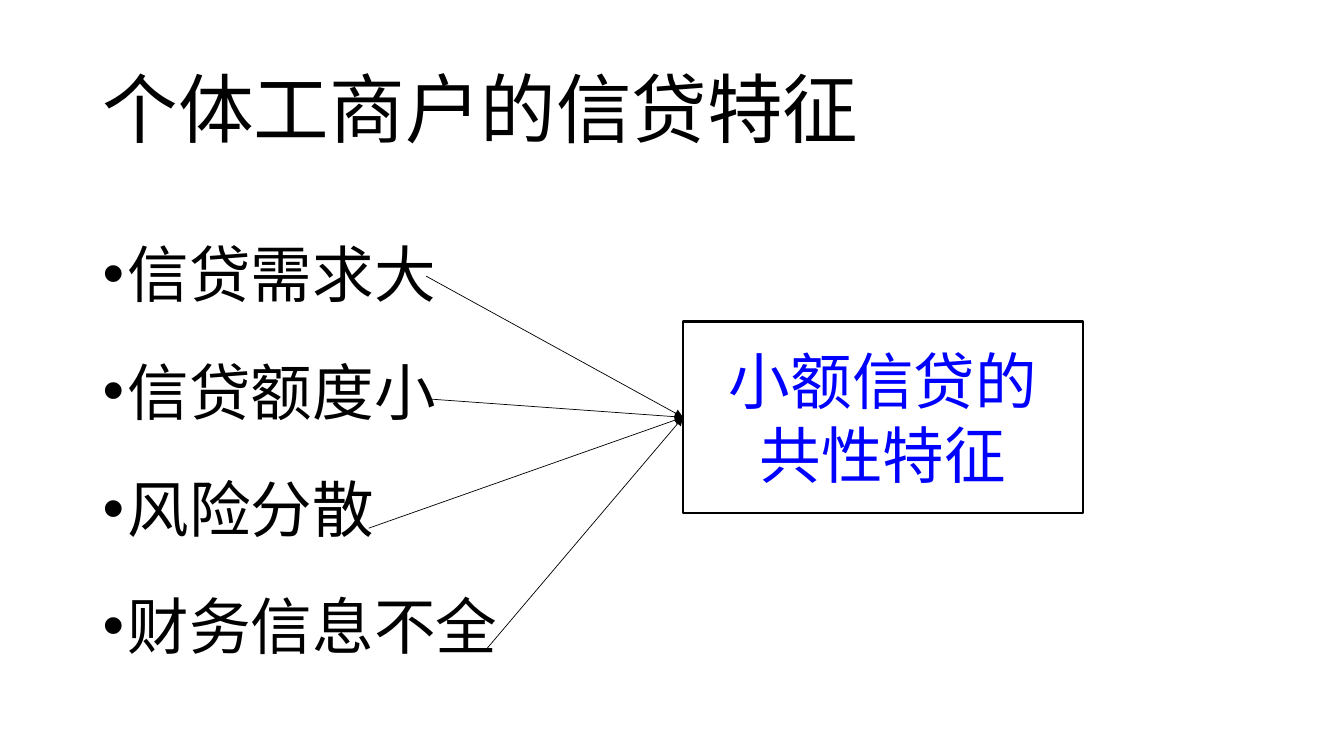
from dataclasses import dataclass

from lxml import etree
from pptx import Presentation
from pptx import util as u
from pptx.dml.color import RGBColor
from pptx.enum import shapes, text
from pptx.oxml.ns import qn


@dataclass(frozen=True)
class Theme:
    font: str = "Noto Sans CJK SC"
    ink: RGBColor = RGBColor(0, 0, 0)
    paper: RGBColor = RGBColor(255, 255, 255)
    accent: RGBColor = RGBColor(0, 0, 255)
    title_size: int = 54
    body_size: int = 44


THEME = Theme()
TITLE_BOX = (66.24, 28.8, 828, 104.4)
LIST_BOX = (66.24, 144, 828, 342.72)
RESULT_BOX = (488.16, 229.68, 285.84, 136.8)
FEATURES = {
    "信贷需求大": (304.56, 197.28),
    "信贷额度小": (308.16, 285.12),
    "风险分散": (263.52, 377.28),
    "财务信息不全": (347.04, 464.4),
}


def points(values):
    return [u.Pt(value) for value in values]


def apply_format(target, values):
    for name, value in values.items():
        setattr(target, name, value)


def write_lines(frame, lines, size, color, paragraph_format, bulleted=False):
    for index, line in enumerate(lines):
        paragraph = frame.paragraphs[0] if index == 0 else frame.add_paragraph()
        apply_format(paragraph, paragraph_format)
        if index == 0:
            paragraph.space_before = u.Pt(0)
        if bulleted:
            properties = paragraph._p.get_or_add_pPr()
            properties.set("marL", str(u.Pt(18)))
            properties.set("indent", str(u.Pt(-18)))
            etree.SubElement(properties, qn("a:buFont")).set("typeface", "Arial")
            etree.SubElement(properties, qn("a:buChar")).set("char", "•")
        run = paragraph.add_run()
        run.text = line
        apply_format(run.font, {"size": u.Pt(size), "name": THEME.font})
        run.font.color.rgb = color
        east_asian = etree.SubElement(run._r.get_or_add_rPr(), qn("a:ea"))
        east_asian.set("typeface", THEME.font)


def place_title(slide, box):
    title = slide.shapes.title
    apply_format(title, dict(zip(("left", "top", "width", "height"), points(box))))
    title.text_frame.vertical_anchor = text.MSO_ANCHOR.MIDDLE
    write_lines(title.text_frame, ["个体工商户的信贷特征"], THEME.title_size, THEME.ink,
                {"alignment": text.PP_ALIGN.LEFT, "line_spacing": 0.9})


def add_features(slide, box):
    frame = slide.shapes.add_textbox(*points(box)).text_frame
    frame.word_wrap = True
    write_lines(frame, FEATURES, THEME.body_size, THEME.ink,
                {"line_spacing": 1.4, "space_before": u.Pt(10)}, bulleted=True)


def add_result(slide, box):
    result = slide.shapes.add_shape(shapes.MSO_SHAPE.RECTANGLE, *points(box))
    result.shadow.inherit = False
    result.fill.solid()
    result.fill.fore_color.rgb = THEME.paper
    result.line.color.rgb = THEME.ink
    result.line.width = u.Pt(1.5)
    apply_format(result.text_frame,
                 {"word_wrap": True, "vertical_anchor": text.MSO_ANCHOR.MIDDLE})
    write_lines(result.text_frame, ["小额信贷的", "共性特征"], THEME.body_size,
                THEME.accent, {"alignment": text.PP_ALIGN.CENTER})
    return result


def add_arrows(slide, result):
    for start in FEATURES.values():
        arrow = slide.shapes.add_connector(
            shapes.MSO_CONNECTOR.STRAIGHT, *points(start),
            result.left, result.top + result.height // 2)
        arrow.end_connect(result, 1)
        arrow.line.color.rgb = THEME.ink
        arrow.line.width = u.Pt(0.5)
        etree.SubElement(arrow.line._get_or_add_ln(), qn("a:tailEnd")).set("type", "triangle")
        etree.SubElement(arrow._element.spPr, qn("a:effectLst"))


def main():
    presentation = Presentation()
    presentation.slide_width = u.Pt(960.48)
    presentation.slide_height = u.Pt(540)
    slide = presentation.slides.add_slide(presentation.slide_layouts[5])
    place_title(slide, TITLE_BOX)
    add_features(slide, LIST_BOX)
    result = add_result(slide, RESULT_BOX)
    add_arrows(slide, result)
    presentation.save("out.pptx")


if __name__ == "__main__":
    main()
